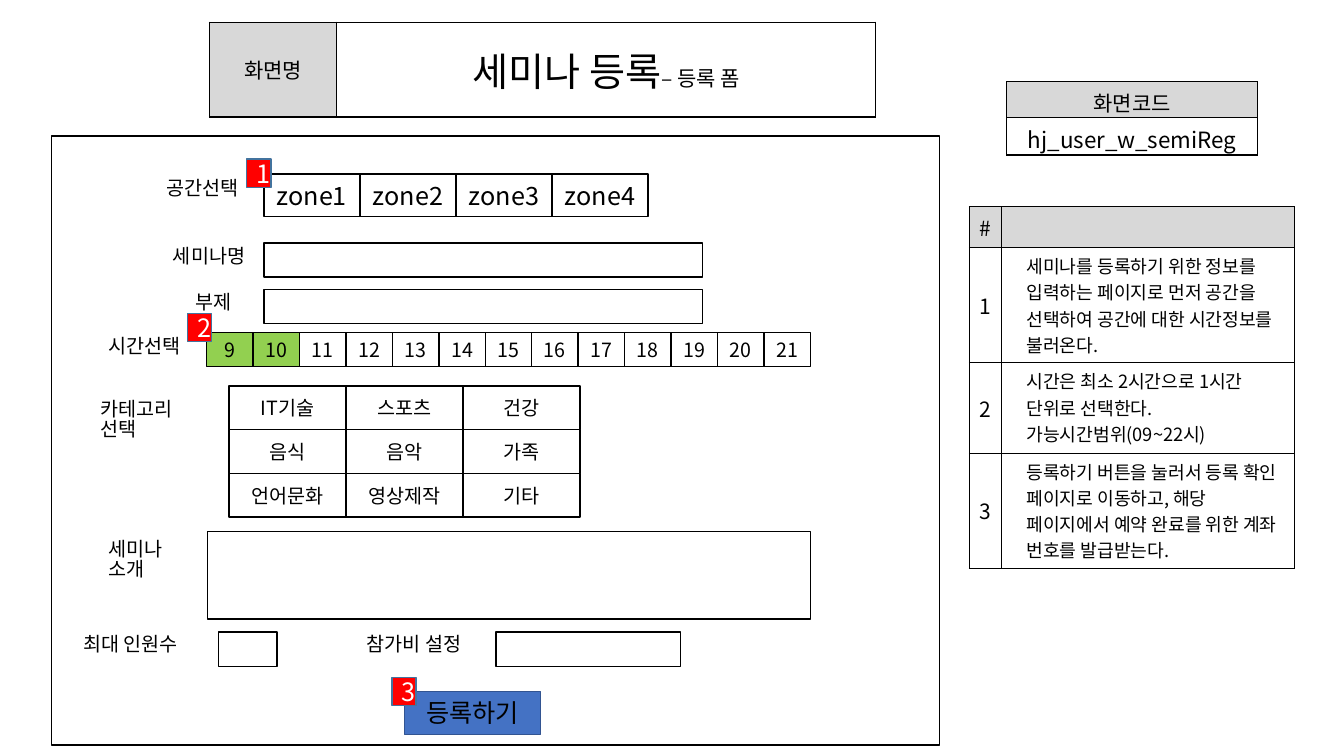
from lxml.etree import SubElement
from pptx import Presentation
from pptx.dml.color import RGBColor as RGB
from pptx.enum.shapes import MSO_SHAPE as Kind
from pptx.enum.text import MSO_ANCHOR as Anchor, MSO_AUTO_SIZE as Auto, PP_ALIGN as Align
from pptx.oxml.ns import qn
from pptx.util import Cm, Pt

FONT = "Noto Sans CJK KR"
HUE = {"black": "000000", "white": "FFFFFF", "gray": "D8D8D8", "green": "92D050",
       "blue": "4472C4", "navy": "325491", "red": "FF0000", "steel": "43739E"}


def write(para, text, size, color="black"):
    run = para.add_run()
    run.text = text
    run.font.size = Pt(size)
    run.font.name = FONT
    run.font.color.rgb = RGB.from_string(HUE[color])
    SubElement(run.font._element, qn("a:ea")).set("typeface", FONT)


def box(left, top, width, height, text="", size=14, fill=None, line="black", color="black"):
    shape = slide.shapes.add_shape(Kind.RECTANGLE, Cm(left), Cm(top), Cm(width), Cm(height))
    shape.shadow.inherit = False
    if fill:
        shape.fill.solid()
        shape.fill.fore_color.rgb = RGB.from_string(HUE[fill])
    else:
        shape.fill.background()
    shape.line.color.rgb = RGB.from_string(HUE[line])
    shape.line.width = Pt(1)
    if text:
        frame = shape.text_frame
        frame.vertical_anchor = Anchor.MIDDLE
        frame.paragraphs[0].alignment = Align.CENTER
        write(frame.paragraphs[0], text, size, color)


deck = Presentation()
deck.slide_width, deck.slide_height = Cm(33.87), Cm(19.05)
slide = deck.slides.add_slide(deck.slide_layouts[6])

box(1.3, 3.43, 22.38, 15.34)

labels = [
    ("세미나명", 4.11, 6.12, 2.84, 0.86),
    ("부제", 4.67, 7.26, 1.7, 0.86),
    ("시간선택", 2.49, 8.38, 2.59, 0.86),
    ("공간선택", 3.94, 4.39, 2.59, 0.86),
    ("카테고리선택", 2.29, 9.96, 2.59, 1.45),
    ("세미나 소개", 2.49, 13.49, 2.18, 1.45),
    ("최대 인원수", 1.85, 15.88, 3.86, 0.86),
    ("참가비 설정", 8.99, 15.88, 3.86, 0.86),
]
for text, left, top, width, height in labels:
    label = slide.shapes.add_textbox(Cm(left), Cm(top), Cm(width), Cm(height))
    label.text_frame.word_wrap = True
    label.text_frame.auto_size = Auto.SHAPE_TO_FIT_TEXT
    para = label.text_frame.paragraphs[0]
    para.line_spacing = 0.85
    write(para, text, 14)

fields = [
    (6.65, 6.12, 11.05, 0.86),
    (6.65, 7.29, 11.05, 0.86),
    (5.23, 13.39, 15.19, 2.21),
    (5.51, 15.93, 1.47, 0.86),
    (12.5, 15.93, 4.65, 0.86),
]
for field in fields:
    box(*field)

for i in range(4):
    box(6.65 + 2.42 * i, 4.39, 2.42, 1.07, f"zone{i + 1}", 18)

for hour in range(9, 22):
    box(5.21 + 1.17 * (hour - 9), 8.38, 1.17, 0.86, str(hour),
        fill="green" if hour < 11 else None)

topics = ["IT기술", "스포츠", "건강", "음식", "음악", "가족", "언어문화", "영상제작", "기타"]
for i, topic in enumerate(topics):
    row, col = divmod(i, 3)
    box(5.77 + 2.95 * col, 9.73 + 1.1 * row, 2.95, 1.1, topic)

box(10.19, 17.42, 3.43, 1.09, "등록하기", 18, "blue", "navy")

badges = [(6.22, 4.01), (4.72, 7.9), (9.88, 17.07)]
for i, (left, top) in enumerate(badges, 1):
    box(left, top, 0.61, 0.71, str(i), 18, "red", "steel", "white")

notes = [
    [[("#", 15)], []],
    [[("1", 15)], [("세미나를 등록하기 위한 정보를 입력하는 페이지로 먼저 공간을 선택하여 공간에 대한 시간정보를 불러온다.", 13)]],
    [[("2", 15)], [("시간은 최소 2시간으로 1시간 단위로 선택한다.", 13), ("\n", 13), ("가능시간범위(09~22시)", 13)]],
    [[("3", 15)], [("등록하기 버튼을 눌러서 등록 확인 페이지로 이동하고, 해당 페이지에서 예약 완료를 위한 계좌 번호를 발급받는다.", 13)]],
]
title = [[[("화면명", 15)], [("세미나 등록", 28), ("– 등록 폼", 15)]]]
code = [[[("화면코드", 15)]], [[("hj_user_w_semiReg", 16)]]]
tables = [
    (notes, 24.43, 5.21, [0.81, 7.39], [1.03, 2.9, 2.28, 2.9], 0.25),
    (title, 5.28, 0.56, [3.2, 13.59], [2.39], 0.2),
    (code, 25.37, 2.06, [6.32], [0.91, 0.91], 0.2),
]
for rows, left, top, widths, heights, inset in tables:
    grid = slide.shapes.add_table(len(rows), len(widths), Cm(left), Cm(top),
                                  Cm(sum(widths)), Cm(sum(heights))).table
    for col, width in zip(grid.columns, widths):
        col.width = Cm(width)
    for r, row in enumerate(rows):
        grid.rows[r].height = Cm(heights[r])
        for c, parts in enumerate(row):
            cell = grid.cell(r, c)
            cell.margin_left = cell.margin_right = Cm(inset)
            cell.margin_top = cell.margin_bottom = Cm(0.13)
            props = cell._tc.get_or_add_tcPr()
            for side in ("a:lnL", "a:lnR", "a:lnT", "a:lnB"):
                edge = SubElement(props, qn(side), w=str(Pt(1)))
                paint = SubElement(edge, qn("a:solidFill"))
                SubElement(paint, qn("a:srgbClr"), val=HUE["black"])
            head = r == 0 and (rows is not title or c == 0)
            cell.fill.solid()
            cell.fill.fore_color.rgb = RGB.from_string(HUE["gray" if head else "white"])
            body = rows is notes and c == 1
            cell.vertical_anchor = Anchor.TOP if body else Anchor.MIDDLE
            para = cell.text_frame.paragraphs[0]
            for text, size in parts:
                if text == "\n":
                    para = cell.text_frame.add_paragraph()
                else:
                    write(para, text, size)
            for para in cell.text_frame.paragraphs:
                if body:
                    para._p.get_or_add_pPr().set("marL", str(Cm(0.38)))
                else:
                    para.alignment = Align.CENTER

deck.save("out.pptx")
